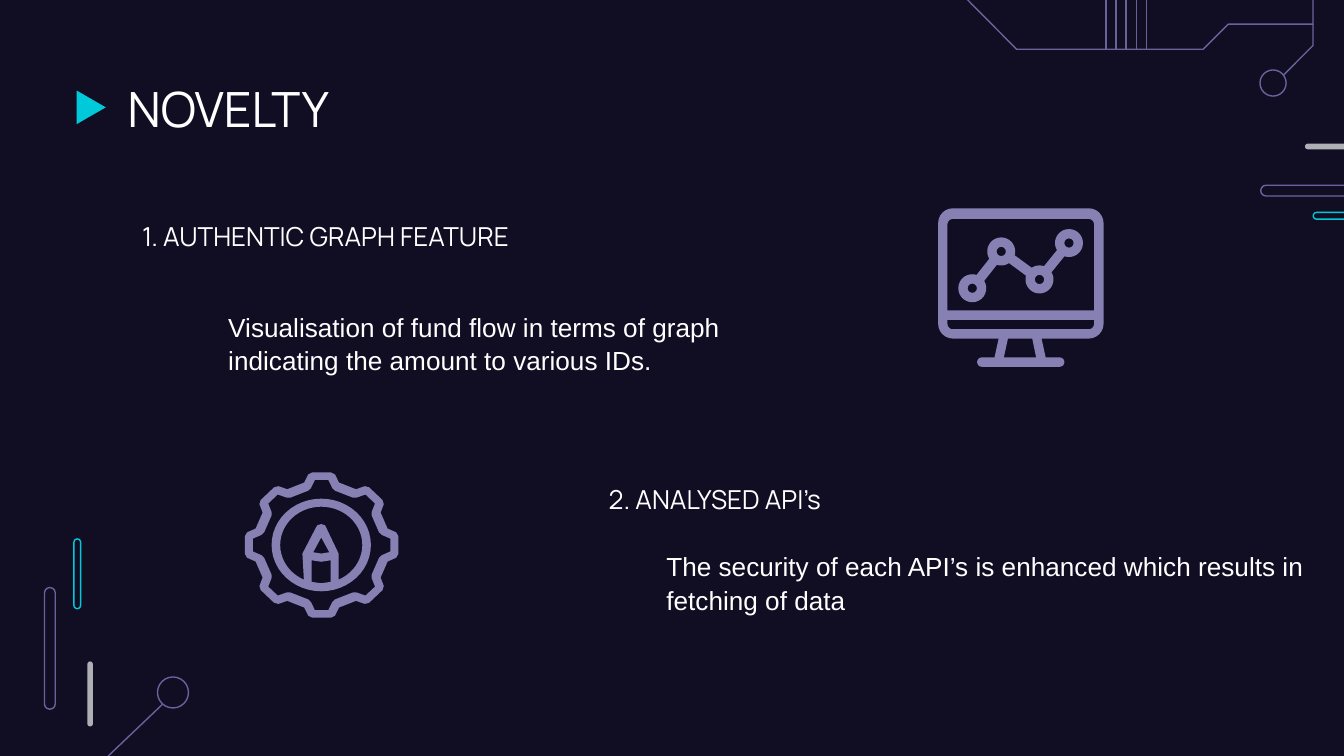
from math import asin, atan2, cos, degrees, hypot, radians, sin

from lxml.etree import SubElement
from pptx import Presentation
from pptx.dml.color import RGBColor
from pptx.enum.shapes import MSO_CONNECTOR, MSO_SHAPE
from pptx.enum.text import MSO_ANCHOR as ANCHOR, MSO_AUTO_SIZE as AUTO_SIZE, PP_ALIGN as ALIGN
from pptx.oxml.ns import qn
from pptx.util import Pt

BACKGROUND, WHITE, CYAN, GRAY = "110E24", "FFFFFF", "00CADA", "AFAFB6"
TRACE, ICON = "69639C", "8780B3"

TITLE = ("NOVELTY", (61.2, 35.3, 607, 45.4), "Manrope", 26)
TEXTS = [
    ("1. AUTHENTIC GRAPH FEATURE", (69.1, 114.5, 319, 24.5), "Manrope", 1),
    ("Visualisation of fund flow in terms of graph indicating the amount to various IDs.",
     (115.2, 162, 324, 41), "Arial", 1.07),
    ("2. ANALYSED API’s", (319, 255.6, 319, 24.5), "Manrope", 1),
    ("The security of each API’s is enhanced which results in fetching of data",
     (349.9, 290.2, 407.5, 41), "Arial", 1.07),
]
OUTLINED_PILLS = [
    ((39.6, 288.7, 3.6, 37.4), CYAN), ((23.8, 314.8, 5.8, 65.2), TRACE),
    ((703.5, 113.8, 37.4, 3.6), CYAN), ((675.4, 99.2, 65.2, 5.8), TRACE),
]
SOLID_PILLS = [(699.1, 77, 34.8, 3), (46.8, 354.4, 3, 34.8)]
NODE_CIRCLES = [(84.4, 362.7, 16.6, 16.6), (675, 37.5, 14, 14)]
TRACE_LINES = [(58, 405, 87.1, 377.3)] + [(592.5 + 5.4 * i, 0, 592.5 + 5.4 * i, 26.4) for i in range(5)]
TRACE_PATHS = [
    [(515.5, -2.9), (544.6, 26.4), (644.6, 26.4), (658, 13), (703.4, 13), (703.4, -7)],
    [(687.6, 40.2), (703.4, 24.4), (703.4, 13)],
]
GRAPH_NODES = [(520.9, 154.4), (536.4, 134.7), (556.9, 149.7), (572.7, 130.2)]
GEAR_CENTER, GEAR_RADII = (172.3, 292), (41.4, 39.2)
TOOTH_OUTER = [(-14.8, 0.883), (-10.2, 0.98), (-7, 1), (7, 1), (10.2, 0.98), (14.8, 0.883)]
TOOTH_INNER = [(-13.2, 0.763), (-10.1, 0.79), (-5.6, 0.894), (5.6, 0.894), (10.1, 0.79), (13.2, 0.763)]
PENCIL_EDGE = [(181.4, 296.6), (174.2, 281.5), (172.1, 280.8), (169.9, 281.5), (162, 296.6)]
PENCIL_TIP = [(172.1, 288), (176.4, 295.9), (172.1, 296.6), (167.8, 295.9)]
PENCIL_BODY = [(177.1, 300.2), (177.1, 311.8), (172.1, 312.5), (167, 311.8), (167, 300.2), (172.1, 301)]


def color(value):
    """Turn a hex string into a colour."""
    return RGBColor.from_string(value)


def arc(center, radii, start, end, steps=12):
    """Return points along an elliptical arc, angles in degrees clockwise from the right."""
    angles = [radians(start + (end - start) * i / steps) for i in range(steps + 1)]
    return [(center[0] + radii[0] * cos(a), center[1] + radii[1] * sin(a)) for a in angles]


def corner(x, y, radius, start):
    """Return a quarter circle around a corner centre."""
    return arc((x, y), (radius, radius), start, start + 90, 6)


def paint(shape, fill=None, line=None):
    """Set fill and outline and remove the shadow."""
    shape.shadow.inherit = False
    for target, value in ((shape.fill, fill), (shape.line.fill, line)):
        if value:
            target.solid()
            target.fore_color.rgb = color(value)
        else:
            target.background()
    if line:
        shape.line.width = Pt(0.75)


def add_preset(shapes, kind, box, fill=None, line=None):
    """Add a painted preset shape."""
    shape = shapes.add_shape(kind, *map(Pt, box))
    paint(shape, fill, line)
    return shape


def add_freeform(shapes, contours, fill=None, line=None):
    """Add a freeform whose inner contours are holes; it is closed when filled."""
    builder = None
    for contour in contours:
        points = [(Pt(x), Pt(y)) for x, y in contour]
        if builder is None:
            builder = shapes.build_freeform(*points[0], scale=1.0)
        else:
            builder.move_to(*points[0])
        builder.add_line_segments(points[1:], close=bool(fill))
    paint(builder.convert_to_shape(), fill, line)


def add_trace(shapes, ends):
    """Add a thin straight line."""
    connector = shapes.add_connector(MSO_CONNECTOR.STRAIGHT, *map(Pt, ends))
    connector.line.color.rgb = color(TRACE)
    connector.line.width = Pt(0.75)
    SubElement(connector._element.spPr, qn("a:effectLst"))


def write(shape, text, font, size, spacing=1):
    """Fill a text shape with one left-aligned white paragraph."""
    frame = shape.text_frame
    frame.text = text
    frame.word_wrap = True
    paragraph = frame.paragraphs[0]
    paragraph.alignment = ALIGN.LEFT
    paragraph.line_spacing = spacing
    run_font = paragraph.runs[0].font
    run_font.name, run_font.size = font, Pt(size)
    run_font.color.rgb = color(WHITE)


def monitor_contours():
    """Return the monitor outline with its screen, chin and stand openings."""
    outline = (corner(510.5, 119.5, 7.9, 180) + corner(583.3, 119.5, 7.9, 270)
               + corner(583.3, 173.5, 7.9, 0) + [(558, 181.4), (560.2, 191.5)]
               + arc((567.7, 194), (2.5, 2.5), -90, 90) + arc((526, 194), (2.5, 2.5), 90, 270)
               + [(532.8, 191.5), (535, 181.4)] + corner(510.5, 173.5, 7.9, 90))
    screen = corner(510.5, 120.2, 2.9, 180) + corner(583.2, 120.2, 2.9, 270) + [(586.1, 166.3), (507.6, 166.3)]
    chin = [(507.6, 171.4), (586.1, 171.4)] + corner(583.2, 173.5, 2.9, 0) + corner(510.5, 173.5, 2.9, 90)
    neck = [(540, 181.4), (553, 181.4), (555.1, 191.5), (537.8, 191.5)]
    return [outline, screen, chin, neck]


def graph_contours(nodes, radius=7.5, hole=2.5, half_bar=2.6):
    """Walk round the joined nodes and add a hole in each."""
    gap = degrees(asin(half_bar / radius))
    last = len(nodes) - 1
    tour = list(range(last + 1)) + list(range(last - 1, 0, -1))
    outline = []
    for i, index in enumerate(tour):
        x, y = nodes[index]
        neighbours = [nodes[tour[i - 1]], nodes[tour[(i + 1) % len(tour)]]]
        before, after = [degrees(atan2(ny - y, nx - x)) for nx, ny in neighbours]
        sweep = (after - before) % 360 or 360
        outline += arc((x, y), (radius, radius), before + gap, before + sweep - gap, 24)
    return [outline] + [arc(node, (hole, hole), 0, 360) for node in nodes]


def gear_contour(tooth):
    """Repeat one tooth eight times around the gear."""
    points = []
    for turn in range(0, 360, 45):
        for angle, scale in tooth:
            points += arc(GEAR_CENTER, [r * scale for r in GEAR_RADII], turn + angle - 90, turn + angle, 1)[:1]
    return points


def main():
    """Build the slide and save it."""
    presentation = Presentation()
    presentation.slide_width, presentation.slide_height = Pt(720), Pt(405)
    slide = presentation.slides.add_slide(presentation.slide_layouts[5])
    slide.background.fill.solid()
    slide.background.fill.fore_color.rgb = color(BACKGROUND)
    shapes = slide.shapes

    for ends in TRACE_LINES:
        add_trace(shapes, ends)
    for path in TRACE_PATHS:
        add_freeform(shapes, [path], line=TRACE)
    for box in NODE_CIRCLES:
        add_preset(shapes, MSO_SHAPE.OVAL, box, line=TRACE)
    pills = [(box, None, line) for box, line in OUTLINED_PILLS] + [(box, GRAY, None) for box in SOLID_PILLS]
    for box, fill, line in pills:
        add_preset(shapes, MSO_SHAPE.ROUNDED_RECTANGLE, box, fill, line).adjustments[0] = 0.5
    add_preset(shapes, MSO_SHAPE.FLOWCHART_MERGE, (39.9, 49.7, 18, 15.6), CYAN).rotation = 270

    text, box, font, size = TITLE
    title = shapes.title
    title.left, title.top, title.width, title.height = map(Pt, box)
    write(title, text, font, size)
    title.text_frame.auto_size = AUTO_SIZE.NONE
    title.text_frame.vertical_anchor = ANCHOR.MIDDLE
    for text, box, font, spacing in TEXTS:
        text_box = shapes.add_textbox(*map(Pt, box))
        write(text_box, text, font, 14, spacing)
        text_box.text_frame.auto_size = AUTO_SIZE.SHAPE_TO_FIT_TEXT

    center = (172.1, 292)
    ring = arc(center, (26.6, 24.8), 0, 360, 48)
    opening = arc(center, (22, 20.5), 115, 425, 48) + PENCIL_EDGE
    icons = [graph_contours(GRAPH_NODES), monitor_contours(),
             [gear_contour(TOOTH_OUTER), gear_contour(TOOTH_INNER)],
             [ring, opening, PENCIL_TIP, PENCIL_BODY]]
    for contours in icons:
        add_freeform(shapes, contours, fill=ICON)
    presentation.save("out.pptx")


if __name__ == "__main__":
    main()
